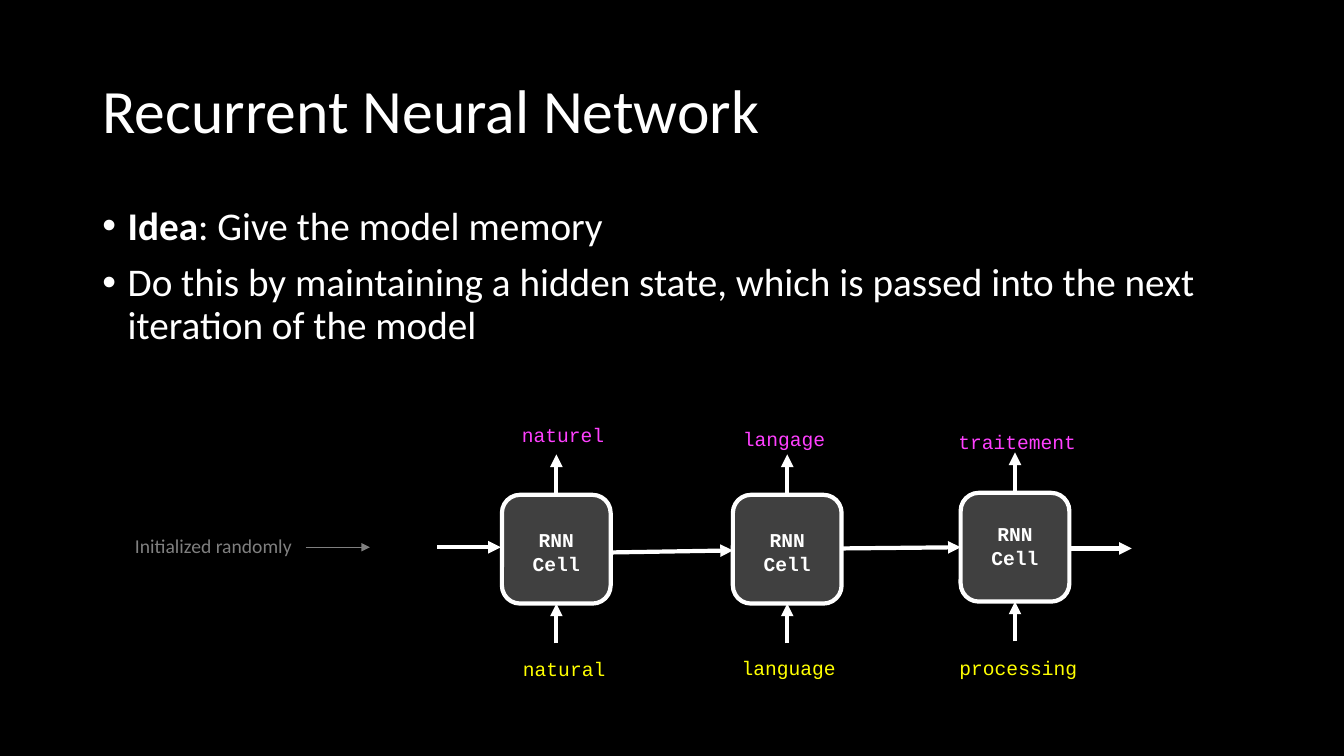
"""Build the recurrent neural network slide."""
from lxml.etree import SubElement
from pptx import Presentation
from pptx.dml.color import RGBColor
from pptx.enum.shapes import MSO_CONNECTOR as Connector, MSO_SHAPE as Shape
from pptx.enum.text import MSO_ANCHOR as Anchor, PP_ALIGN as Align
from pptx.oxml.ns import qn
from pptx.util import Cm, Pt

COLORS = {"background": "000000", "main": "FFFFFF", "muted": "808080",
          "input": "FFFF00", "output": "FF40FF"}
SANS, MONO = "Calibri", "Courier New"
TITLE = "Recurrent Neural Network"
IDEAS = [
    [("Idea", True), (": Give the model memory", False)],
    [("Do this by maintaining a hidden state, which is passed into the next "
      "iteration of the model", False)],
]
CELL_LINES = ["RNN", "Cell"]
CELL_SIZE = 2.74
CELLS = [
    {"at": (12.65, 12.47), "text_top": 13.18,
     "input": ("natural", 12.93, 16.43, 2.74),
     "output": ("naturel", 12.9, 10.54, 2.79)},
    {"at": (18.47, 12.47), "text_top": 13.18,
     "input": ("language", 18.44, 16.41, 3.0),
     "output": ("langage", 18.47, 10.64, 3.0)},
    {"at": (24.21, 12.42), "text_top": 13.03,
     "input": ("processing", 23.93, 16.41, 3.89),
     "output": ("traitement", 23.9, 10.72, 3.68)},
]
STATES = [
    ((11.02, 13.79), (12.62, 13.79)),
    ((15.44, 13.92), (18.47, 13.87)),
    ((21.18, 13.82), (24.21, 13.79)),
    ((26.97, 13.82), (28.52, 13.82)),
]
START_NOTE = ("Initialized randomly", 3.15, 13.34, 4.88)
START_ARROW = ((7.7, 13.79), (9.32, 13.79))


def rgb(name):
    return RGBColor.from_string(COLORS[name])


def add_frame(slide, left, top, width, height):
    frame = slide.shapes.add_textbox(Cm(left), Cm(top), Cm(width), Cm(height)).text_frame
    frame.word_wrap = True
    return frame


def add_run(paragraph, text, size, face=SANS, color="main", bold=False):
    run = paragraph.add_run()
    run.text = text
    run.font.size, run.font.name, run.font.bold = Pt(size), face, bold
    run.font.color.rgb = rgb(color)


def add_label(slide, label, face, color):
    text, left, top, width = label
    frame = add_frame(slide, left, top, width, 0.86)
    add_run(frame.paragraphs[0], text, 14, face, color)


def add_arrow(slide, start, end, color="main", weight=3):
    points = [Cm(value) for value in (*start, *end)]
    arrow = slide.shapes.add_connector(Connector.STRAIGHT, *points)
    arrow.line.color.rgb = rgb(color)
    arrow.line.width = Pt(weight)
    SubElement(arrow.line._get_or_add_ln(), qn("a:tailEnd"), type="triangle")
    SubElement(arrow._element.spPr, qn("a:effectLst"))


def add_ideas(slide):
    frame = add_frame(slide, 2.33, 5.08, 29.21, 4.09)
    for index, idea in enumerate(IDEAS):
        paragraph = frame.add_paragraph() if index else frame.paragraphs[0]
        paragraph.line_spacing = 0.9
        paragraph.space_before = Pt(10 if index else 0)
        properties = paragraph._p.get_or_add_pPr()
        properties.set("marL", str(Cm(0.64)))
        properties.set("indent", str(Cm(-0.64)))
        SubElement(properties, qn("a:buFont"), typeface="Arial")
        SubElement(properties, qn("a:buChar"), char="•")
        for text, bold in idea:
            add_run(paragraph, text, 28, bold=bold)


def add_cell(slide, cell):
    left, top = cell["at"]
    box = slide.shapes.add_shape(Shape.ROUNDED_RECTANGLE, Cm(left), Cm(top),
                                 Cm(CELL_SIZE), Cm(CELL_SIZE))
    box.shadow.inherit = False
    box.fill.solid()
    box.fill.fore_color.rgb = rgb("muted")
    fill_color = box._element.spPr.find(qn("a:solidFill"))[0]
    SubElement(fill_color, qn("a:alpha"), val="50000")
    box.line.color.rgb = rgb("main")
    box.line.width = Pt(3)

    frame = add_frame(slide, left, cell["text_top"], CELL_SIZE, 1.45)
    for index, text in enumerate(CELL_LINES):
        paragraph = frame.add_paragraph() if index else frame.paragraphs[0]
        paragraph.alignment = Align.CENTER
        add_run(paragraph, text, 14, MONO, bold=True)

    middle, bottom = left + CELL_SIZE / 2, top + CELL_SIZE
    add_arrow(slide, (middle, bottom + 1), (middle, bottom))
    add_arrow(slide, (middle, top - 0.04), (middle, top - 1.02))
    for role in ("input", "output"):
        add_label(slide, cell[role], MONO, role)


def main():
    deck = Presentation()
    deck.slide_width, deck.slide_height = Cm(33.87), Cm(19.05)
    slide = deck.slides.add_slide(deck.slide_layouts[6])
    slide.background.fill.solid()
    slide.background.fill.fore_color.rgb = rgb("background")

    title = add_frame(slide, 2.33, 1.02, 29.21, 3.68)
    title.vertical_anchor = Anchor.MIDDLE
    title.paragraphs[0].line_spacing = 0.9
    add_run(title.paragraphs[0], TITLE, 44)
    add_ideas(slide)

    for cell in CELLS:
        add_cell(slide, cell)
    for start, end in STATES:
        add_arrow(slide, start, end)
    add_label(slide, START_NOTE, SANS, "muted")
    add_arrow(slide, *START_ARROW, color="muted", weight=1)
    deck.save("out.pptx")


if __name__ == "__main__":
    main()
